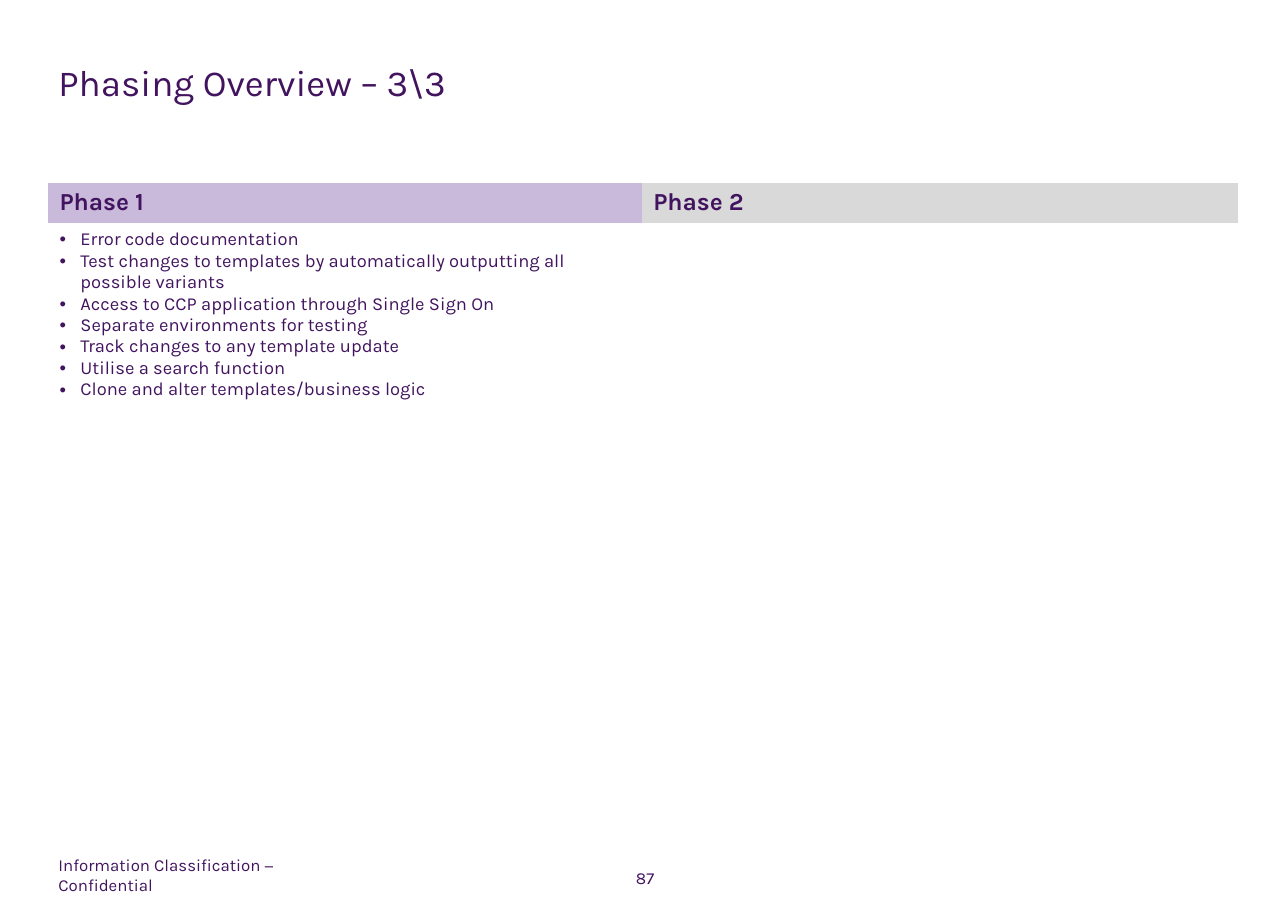
"""Build the phasing overview slide: a title, a two-phase table and a footer."""
from dataclasses import dataclass

from lxml import etree
from pptx import Presentation
from pptx.dml.color import RGBColor
from pptx.enum.text import MSO_ANCHOR, PP_ALIGN
from pptx.oxml.ns import qn
from pptx.util import Inches, Pt

TOP, MIDDLE = MSO_ANCHOR.TOP, MSO_ANCHOR.MIDDLE
LEFT, CENTER = PP_ALIGN.LEFT, PP_ALIGN.CENTER


@dataclass(frozen=True)
class Theme:
    font: str = "Karla"
    ink: str = "42145F"
    title: int = 24
    heading: int = 16
    body: int = 12
    footer: int = 11
    plain_table: str = "{2D5ABB26-0587-4C30-8999-92F81FD0307C}"


THEME = Theme()
WIDTH, HEIGHT = 11.69, 8.27
MARGIN = 0.53
PAGE_BOX = 0.65
TABLE_LEFT, TABLE_TOP = 0.44, 1.66
COLUMNS = (5.39, 5.41)
ROWS = (0.34, 4.58)
BULLET_INDENT = 0.19

TITLE = "Phasing Overview – 3\\3"
CLASSIFICATION = "Information Classification − Confidential"
PAGE_NUMBER = "87"
PHASES = [
    ("Phase 1", "C9BADB", [
        "Error code documentation",
        "Test changes to templates by automatically outputting all possible variants",
        "Access to CCP application through Single Sign On",
        "Separate environments for testing",
        "Track changes to any template update",
        "Utilise a search function",
        "Clone and alter templates/business logic",
    ]),
    ("Phase 2", "D9D9D9", []),
]


def style(paragraph, size, bold=False):
    font = paragraph.font
    font.name, font.size, font.bold = THEME.font, Pt(size), bold
    font.color.rgb = RGBColor.from_string(THEME.ink)


def add_label(slide, text, box, size, anchor=MIDDLE, align=LEFT, wrap=False):
    frame = slide.shapes.add_textbox(*map(Inches, box)).text_frame
    frame.margin_left = frame.margin_right = frame.margin_top = frame.margin_bottom = 0
    frame.word_wrap, frame.vertical_anchor = wrap, anchor
    frame.text = text
    frame.paragraphs[0].alignment = align
    style(frame.paragraphs[0], size)


def add_bullet(paragraph):
    properties = paragraph._p.get_or_add_pPr()
    properties.set("marL", str(Inches(BULLET_INDENT)))
    properties.set("indent", str(-Inches(BULLET_INDENT)))
    etree.SubElement(properties, qn("a:buFont"), typeface="Arial")
    etree.SubElement(properties, qn("a:buChar"), char="•")


def add_phase_table(slide):
    frame = slide.shapes.add_table(
        len(ROWS), len(COLUMNS), Inches(TABLE_LEFT), Inches(TABLE_TOP),
        Inches(sum(COLUMNS)), Inches(sum(ROWS)))
    table = frame.table
    table._tbl.tblPr.find(qn("a:tableStyleId")).text = THEME.plain_table
    table.horz_banding = False
    for row, height in zip(table.rows, ROWS):
        row.height = Inches(height)
    for index, (heading, tint, items) in enumerate(PHASES):
        table.columns[index].width = Inches(COLUMNS[index])
        header, body = table.cell(0, index), table.cell(1, index)
        header.text = heading
        header.fill.solid()
        header.fill.fore_color.rgb = RGBColor.from_string(tint)
        style(header.text_frame.paragraphs[0], THEME.heading, bold=True)
        body.fill.background()
        body.text = "\n".join(items)
        for paragraph in body.text_frame.paragraphs:
            if items:
                add_bullet(paragraph)
            style(paragraph, THEME.body)


def main():
    deck = Presentation()
    deck.slide_width, deck.slide_height = Inches(WIDTH), Inches(HEIGHT)
    slide = deck.slides.add_slide(deck.slide_layouts[6])
    add_label(slide, CLASSIFICATION, (MARGIN, 7.79, 2.72, 0.3), THEME.footer)
    add_label(slide, PAGE_NUMBER, ((WIDTH - PAGE_BOX) / 2 + 0.01, 7.82, PAGE_BOX, 0.3),
              THEME.footer, align=CENTER, wrap=True)
    add_label(slide, TITLE, (MARGIN, 0.54, 9.37, 0.59), THEME.title, anchor=TOP)
    add_phase_table(slide)
    deck.save("out.pptx")


if __name__ == "__main__":
    main()
